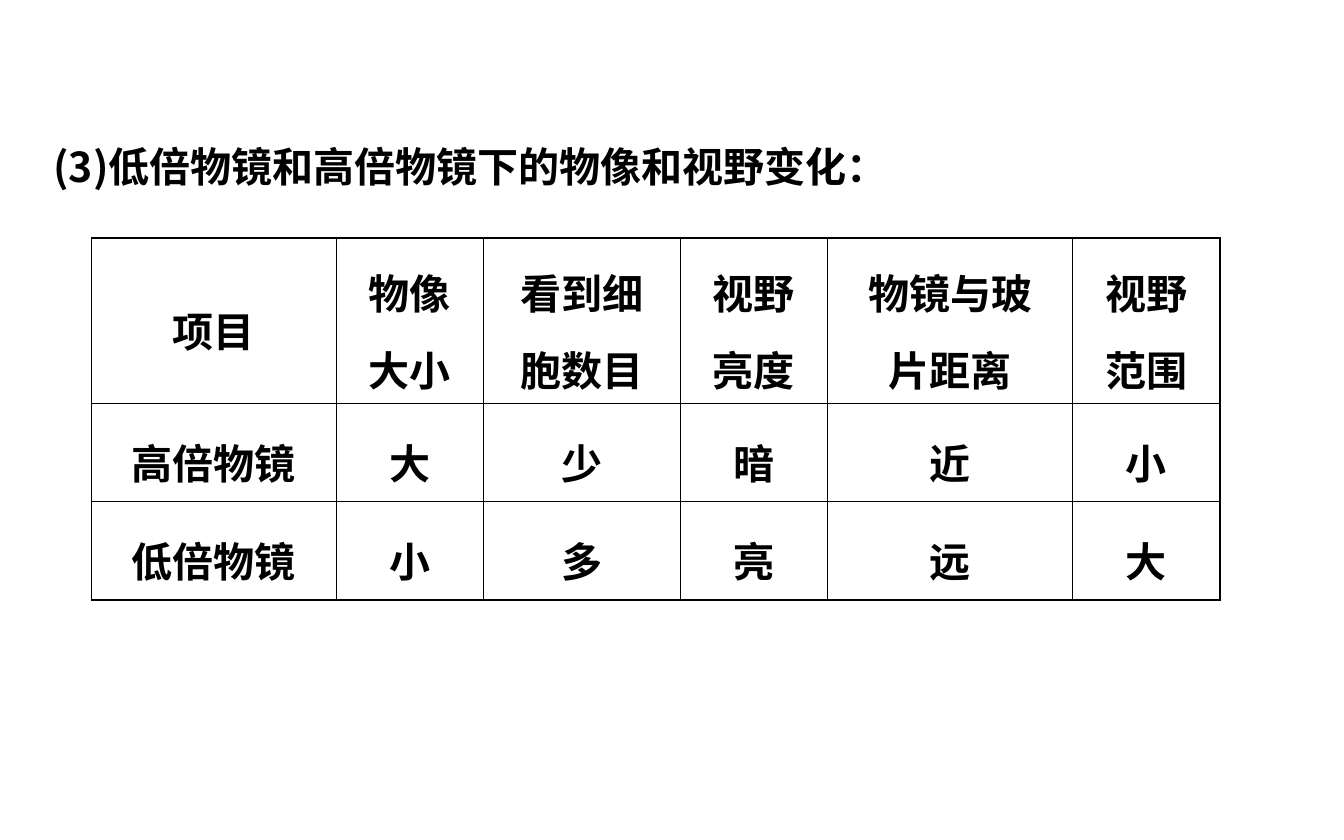
from lxml.etree import SubElement
from pptx import Presentation
from pptx.dml.color import RGBColor
from pptx.enum.text import MSO_ANCHOR, MSO_AUTO_SIZE, PP_ALIGN
from pptx.oxml import parse_xml
from pptx.oxml.ns import nsdecls, qn
from pptx.util import Inches, Pt

WIDTH, HEIGHT = Inches(10), Inches(6.25)
BLACK = RGBColor(0, 0, 0)
FONT = "Noto Sans CJK SC"
FONT_FORMAT = {"name": FONT, "size": Pt(22), "bold": True}
THIN, THICK = Pt(0.45), Pt(0.96)

TITLE = "(3)低倍物镜和高倍物镜下的物像和视野变化："
COLUMNS = [18.2, 11, 14.6, 11, 18.2, 11]
ROWS = [19.7, 11.7, 11.7]
CELLS = [
    ["项目", "物像\n大小", "看到细\n胞数目", "视野\n亮度", "物镜与玻\n片距离", "视野\n范围"],
    ["高倍物镜", "大", "少", "暗", "近", "小"],
    ["低倍物镜", "小", "多", "亮", "远", "大"],
]


def across(percent):
    """Return a share of the slide's width."""
    return round(WIDTH * percent / 100)


def down(percent):
    """Return a share of the slide's height."""
    return round(HEIGHT * percent / 100)


def write(tf, text, **paragraph_format):
    """Fill a text frame with one formatted paragraph per line."""
    tf.text = text
    for p in tf.paragraphs:
        for name, value in paragraph_format.items():
            setattr(p, name, value)
        for r in p.runs:
            for name, value in FONT_FORMAT.items():
                setattr(r.font, name, value)
            r.font.color.rgb = BLACK
            SubElement(r.font._element, qn("a:ea"), typeface=FONT)


def set_borders(cell, widths):
    """Draw the left, right, top and bottom borders of a cell."""
    tcPr = cell._tc.get_or_add_tcPr()
    for i, (side, width) in enumerate(zip("LRTB", widths)):
        tcPr.insert(i, parse_xml(
            f'<a:ln{side} {nsdecls("a")} w="{int(width)}"><a:solidFill>'
            f'<a:srgbClr val="{BLACK}"/></a:solidFill></a:ln{side}>'))


def add_title(s):
    """Add the heading above the table."""
    sp = s.shapes.add_textbox(across(3), down(13.1), across(94.3), down(10.4))
    tf = sp.text_frame
    tf.word_wrap = True
    tf.auto_size = MSO_AUTO_SIZE.SHAPE_TO_FIT_TEXT
    write(tf, TITLE, line_spacing=1.5)


def add_comparison(s):
    """Add the table comparing the two objectives."""
    table = s.shapes.add_table(len(ROWS), len(COLUMNS), across(6.8), down(28.3),
                               across(sum(COLUMNS)), down(sum(ROWS))).table
    table.first_row = table.horz_banding = False
    for column, share in zip(table.columns, COLUMNS):
        column.width = across(share)
    for row, share in zip(table.rows, ROWS):
        row.height = down(share)
    for i, texts in enumerate(CELLS):
        for j, text in enumerate(texts):
            cell = table.cell(i, j)
            cell.fill.background()
            cell.vertical_anchor = MSO_ANCHOR.MIDDLE
            write(cell.text_frame, text, alignment=PP_ALIGN.CENTER, line_spacing=1.3)
            outer = (j == 0, j == len(COLUMNS) - 1, i == 0, i == len(ROWS) - 1)
            set_borders(cell, [THICK if edge else THIN for edge in outer])


def main():
    """Build and save the slide."""
    prs = Presentation()
    prs.slide_width, prs.slide_height = WIDTH, HEIGHT
    s = prs.slides.add_slide(prs.slide_layouts[6])
    add_title(s)
    add_comparison(s)
    prs.save("out.pptx")


if __name__ == "__main__":
    main()
